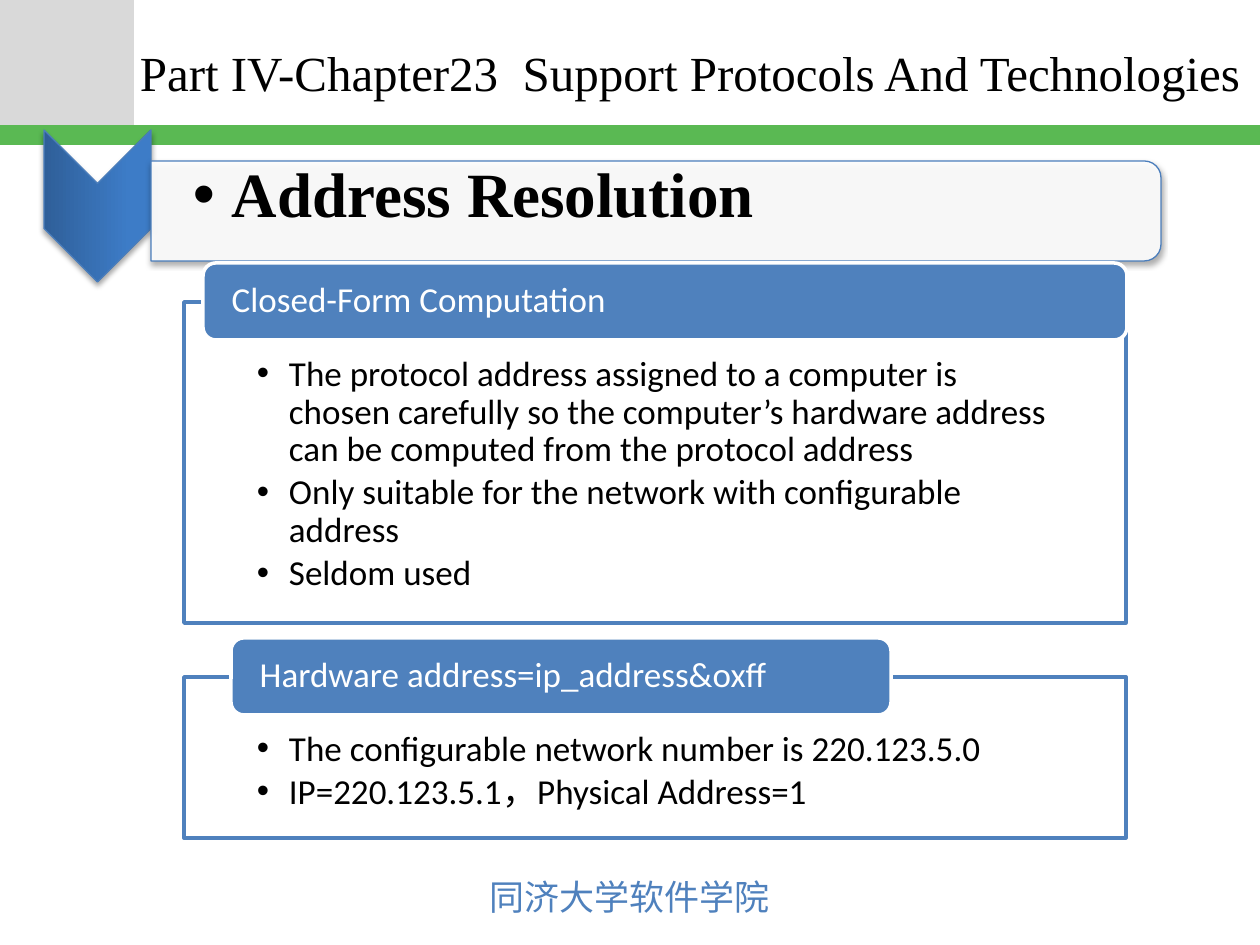
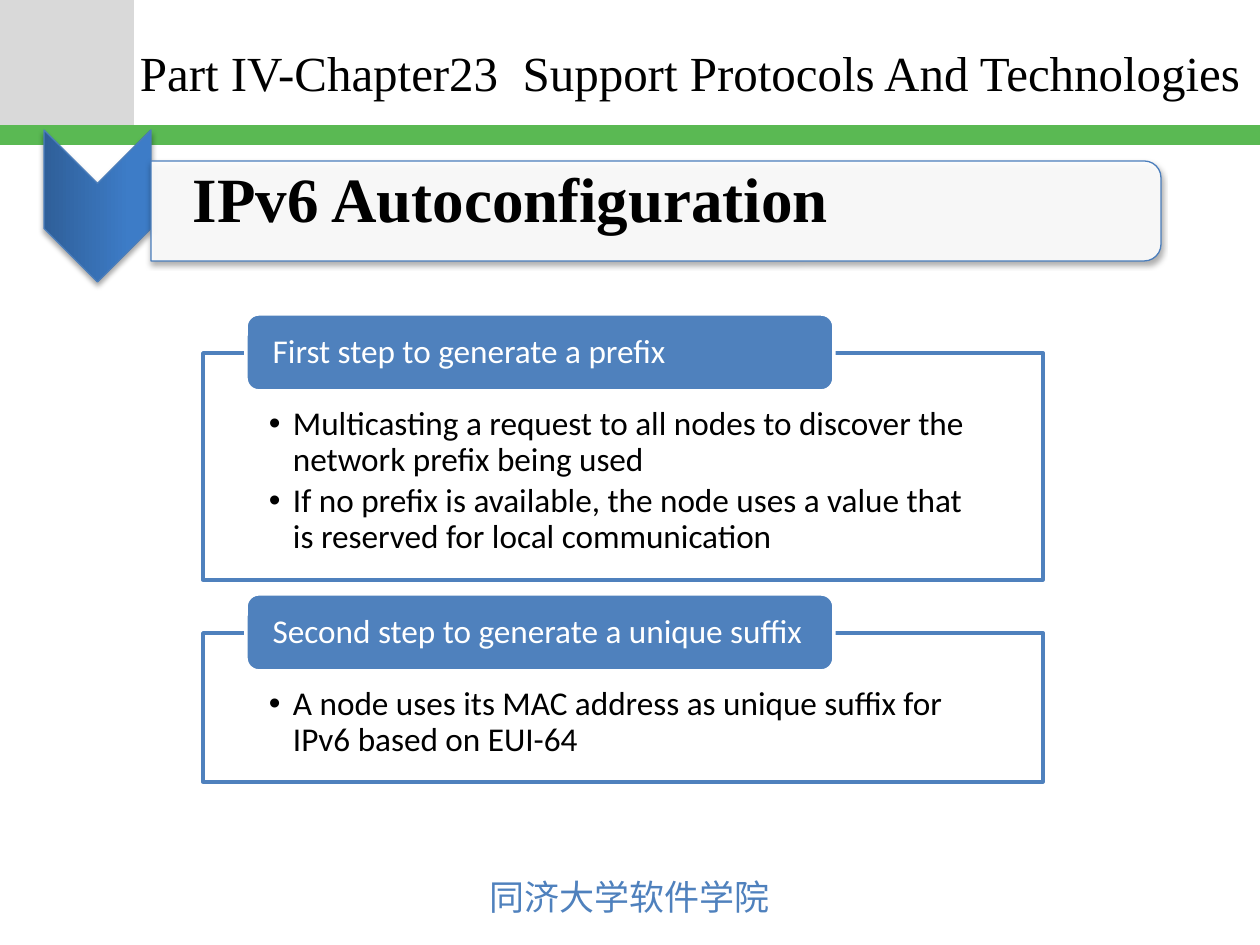
"""Build two lecture slides on address resolution and IPv6 autoconfiguration."""
from dataclasses import dataclass

from lxml.etree import SubElement
from pptx import Presentation
from pptx.dml.color import RGBColor
from pptx.enum.shapes import MSO_SHAPE as Preset
from pptx.enum.text import MSO_ANCHOR as Anchor
from pptx.oxml.ns import qn
from pptx.util import Emu, Pt

PX_PER_INCH = 126
SLIDE_WIDTH, SLIDE_HEIGHT = 1260, 945
TAB_HEIGHT, TAB_RISE = 77, 39
CHAPTER = "Part IV-Chapter23  Support Protocols And Technologies"
SCHOOL = "同济大学软件学院"


@dataclass(frozen=True)
class Theme:
    black: str = "000000"
    white: str = "FFFFFF"
    grey: str = "D9D9D9"
    green: str = "5AB953"
    blue: str = "4F81BD"
    outline: str = "4B7EBC"
    chevron_dark: str = "2F5F99"
    chevron_light: str = "3D7CC7"
    serif: str = "Times New Roman"
    sans: str = "Calibri"
    cjk: str = "Noto Sans CJK JP"
    title_size: int = 28
    heading_size: int = 36
    footer_size: int = 20


@dataclass(frozen=True)
class CardStyle:
    left: int
    width: int
    size: int
    insets: tuple
    hang: int
    tab_inset: int


THEME = Theme()
RESOLUTION_STYLE = CardStyle(184, 942, 20, (73, 54, 73, 20), 32, 25)
AUTOCONFIG_STYLE = CardStyle(203, 840, 19, (66, 54, 66, 19), 24, 23)


def px(length):
    return Emu(round(length * 914400 / PX_PER_INCH))


def rgb(code):
    return RGBColor.from_string(code)


def add_bullet(paragraph, hang):
    properties = paragraph._p.get_or_add_pPr()
    properties.set("marL", str(px(hang)))
    properties.set("indent", str(-px(hang)))
    SubElement(properties, qn("a:buFont"), typeface="Arial")
    SubElement(properties, qn("a:buChar"), char="•")


def write(shape, lines, face, size, color, insets, anchor=Anchor.MIDDLE,
          bold=False, hang=0, tight=False, gap=0.15):
    frame = shape.text_frame
    frame.word_wrap = True
    frame.vertical_anchor = anchor
    (frame.margin_left, frame.margin_top,
     frame.margin_right, frame.margin_bottom) = map(px, insets)
    frame.text = "\n".join(lines)
    for paragraph in frame.paragraphs:
        paragraph.alignment = 1
        if hang:
            add_bullet(paragraph, hang)
        if tight:
            paragraph.line_spacing = 0.9
            paragraph.space_after = Pt(round(size * gap, 1))
        font = paragraph.font
        font.name, font.size, font.bold = face, Pt(size), bold
        font.color.rgb = rgb(color)
        SubElement(paragraph._p.pPr.find(qn("a:defRPr")), qn("a:ea"),
                   typeface=THEME.cjk)


def add_text(slide, box, *args, **options):
    write(slide.shapes.add_textbox(*map(px, box)), *args, **options)


def add_block(slide, preset, box, fill, line=None, weight=2):
    block = slide.shapes.add_shape(preset, *map(px, box))
    block.shadow.inherit = False
    block.fill.solid()
    block.fill.fore_color.rgb = rgb(fill)
    if line:
        block.line.color.rgb = rgb(line)
        block.line.width = Pt(weight)
    else:
        block.line.fill.background()
    return block


def add_turned_block(slide, preset, box, fill):
    """Add a shadowed shape turned by 90 degrees that covers the given box."""
    left, top, width, height = box
    shift = (width - height) / 2
    block = add_block(slide, preset, (left + shift, top - shift, height, width),
                      fill, THEME.outline, 0.75)
    block.rotation = 90
    effects = block._element.spPr.find(qn("a:effectLst"))
    shadow = SubElement(effects, qn("a:outerShdw"), blurRad=str(Pt(3.1)),
                        dist=str(Pt(1.8)), dir="5400000", rotWithShape="0")
    shade = SubElement(shadow, qn("a:srgbClr"), val=THEME.black)
    SubElement(shade, qn("a:alpha"), val="35000")
    return block


def add_frame(slide):
    add_block(slide, Preset.RECTANGLE, (0, 0, 134, 125), THEME.grey)
    add_block(slide, Preset.RECTANGLE, (0, 125, SLIDE_WIDTH, 20), THEME.green)
    add_text(slide, (476, 869, 309, 55), [SCHOOL], THEME.cjk,
             THEME.footer_size, THEME.blue, (13, 6, 13, 6))
    add_text(slide, (127, 10, 1133, 123), [CHAPTER], THEME.serif,
             THEME.title_size, THEME.black, (13, 6, 13, 6))


def add_heading(slide, heading, **options):
    chevron = add_turned_block(slide, Preset.CHEVRON, (44, 130, 107, 152),
                               THEME.chevron_dark)
    chevron.fill.gradient()
    chevron.fill.gradient_angle = 90
    dark, light = chevron.fill.gradient_stops
    dark.color.rgb, dark.position = rgb(THEME.chevron_dark), 0
    light.color.rgb, light.position = rgb(THEME.chevron_light), 0.8

    banner = add_turned_block(slide, Preset.ROUND_2_SAME_RECTANGLE,
                              (151, 161, 1010, 100), THEME.white)
    banner_fill = banner._element.spPr.find(qn("a:solidFill"))
    SubElement(banner_fill[0], qn("a:alpha"), val="90000")
    add_text(slide, (161, 152, 1005, 90), [heading], THEME.serif,
             THEME.heading_size, THEME.black, (32, 3, 3, 3), bold=True, **options)


def add_card(slide, style, top, height, tab_left, tab_width, label, points):
    card = add_block(slide, Preset.RECTANGLE,
                     (style.left, top, style.width, height),
                     THEME.white, THEME.blue)
    write(card, points, THEME.sans, style.size, THEME.black, style.insets,
          Anchor.TOP, hang=style.hang, tight=True)
    tab = add_block(slide, Preset.ROUNDED_RECTANGLE,
                    (tab_left, top - TAB_RISE, tab_width, TAB_HEIGHT),
                    THEME.blue, THEME.white)
    write(tab, [label], THEME.sans, style.size, THEME.white,
          (style.tab_inset, 0, 12, 0), tight=True, gap=0.35)


def add_slide(deck):
    slide = deck.slides.add_slide(deck.slide_layouts[6])
    add_frame(slide)
    return slide


def main():
    deck = Presentation()
    deck.slide_width, deck.slide_height = px(SLIDE_WIDTH), px(SLIDE_HEIGHT)

    resolution = add_slide(deck)
    add_heading(resolution, "Address Resolution", hang=39, tight=True)
    add_card(resolution, RESOLUTION_STYLE, 302, 321, 203, 924,
             "Closed-Form Computation",
             ["The protocol address assigned to a computer is chosen carefully "
              "so the computer’s hardware address can be computed from the "
              "protocol address",
              "Only suitable for the network with configurable address",
              "Seldom used"])
    add_card(resolution, RESOLUTION_STYLE, 677, 161, 231, 660,
             "Hardware address=ip_address&oxff",
             ["The configurable network number is 220.123.5.0",
              "IP=220.123.5.1，Physical Address=1"])

    autoconfig = add_slide(deck)
    add_heading(autoconfig, "IPv6 Autoconfiguration")
    add_card(autoconfig, AUTOCONFIG_STYLE, 353, 227, 246, 588,
             "First step to generate a prefix",
             ["Multicasting a request to all nodes to discover the network "
              "prefix being used",
              "If no prefix is available, the node uses a value that is "
              "reserved for local communication"])
    add_card(autoconfig, AUTOCONFIG_STYLE, 633, 149, 246, 588,
             "Second step to generate a unique suffix",
             ["A node uses its MAC address as unique suffix for IPv6 based on "
              "EUI-64"])

    deck.save("out.pptx")


if __name__ == "__main__":
    main()
